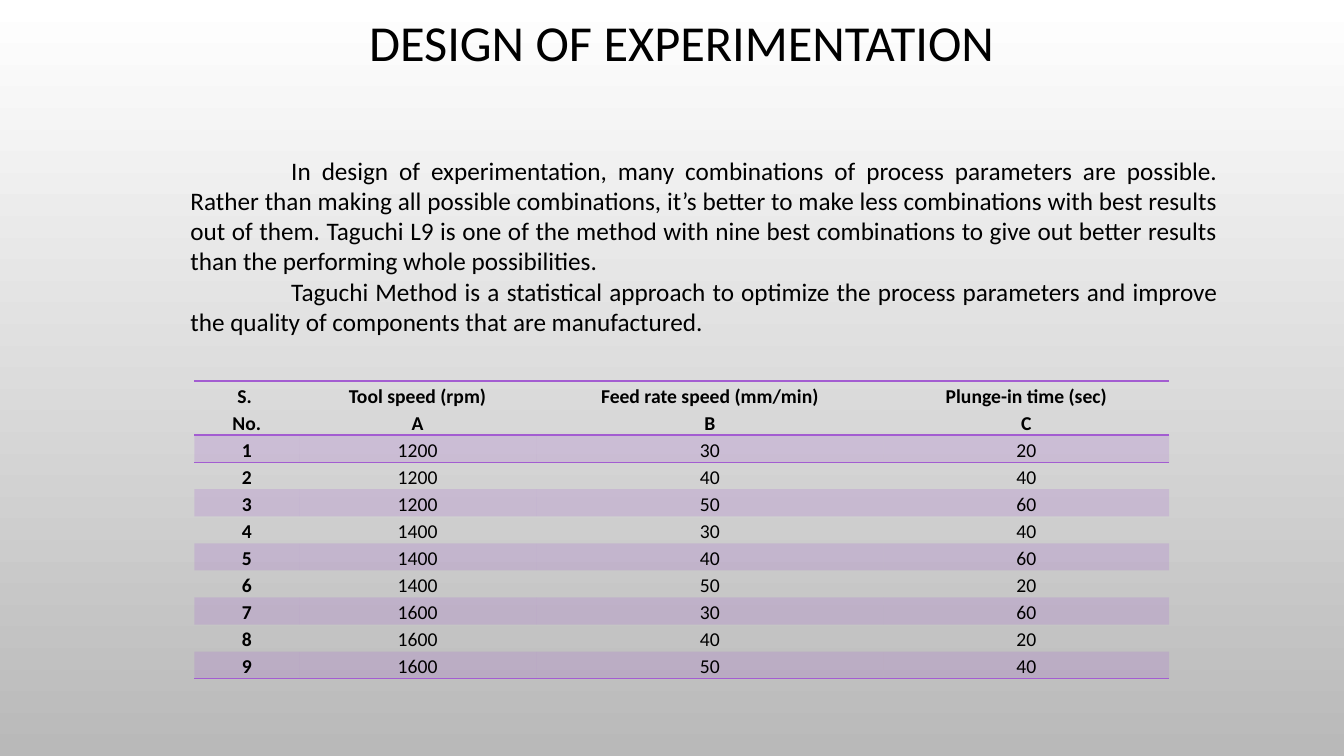
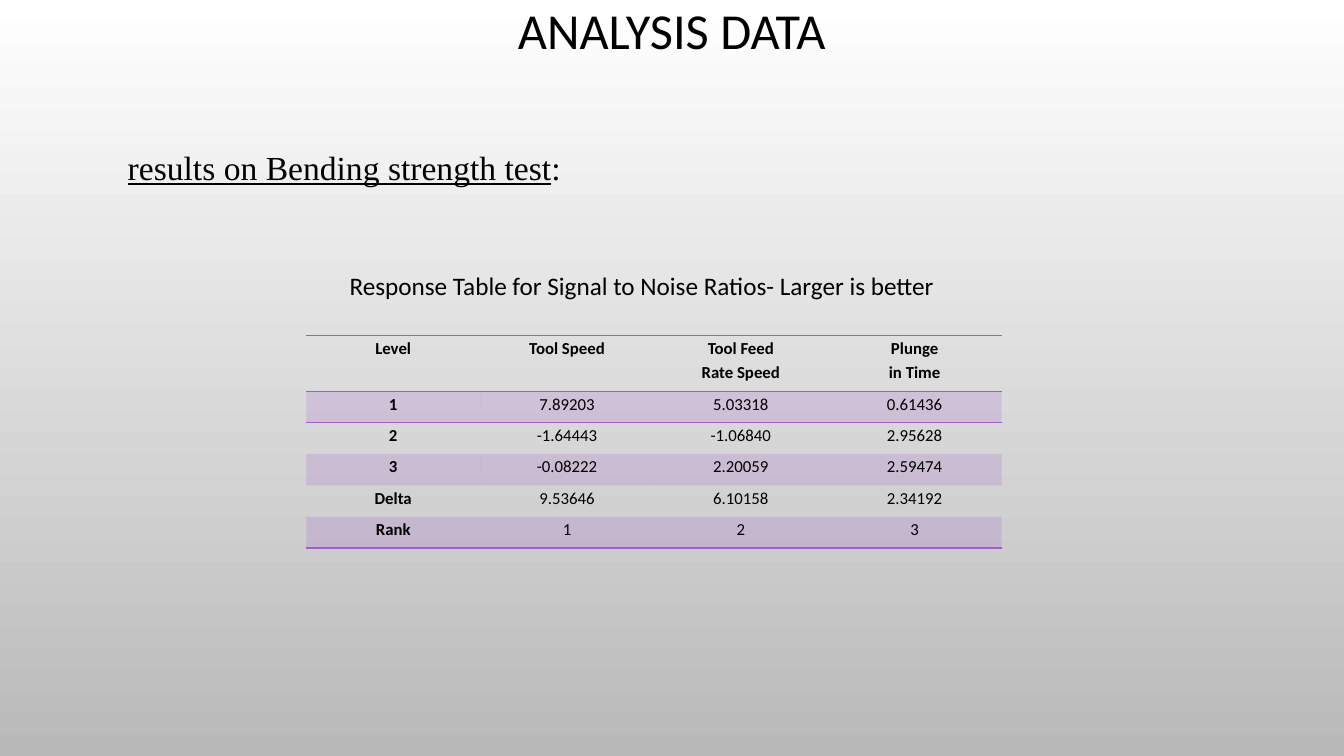
from dataclasses import dataclass
from typing import Any, NamedTuple

from lxml.etree import SubElement
from pptx import Presentation
from pptx.dml.color import RGBColor
from pptx.enum.text import MSO_ANCHOR as Anchor, MSO_AUTO_SIZE as AutoSize, PP_ALIGN as Align
from pptx.oxml import parse_xml
from pptx.oxml.ns import nsdecls, qn
from pptx.slide import Slide
from pptx.util import Cm, Pt

BLACK, WHITE, GREY, PURPLE = "000000", "FFFFFF", "B9B9B9", "A35DD1"
SANS, SERIF = "Calibri", "Times New Roman"
BAND_ALPHA = "20000"
PLAIN_TABLE = "{2D5ABB26-0587-4C30-8999-92F81FD0307C}"
TITLE_ONLY = 5


class Box(NamedTuple):
    left: float
    top: float
    width: float
    height: float

    def lengths(self) -> list[Cm]:
        return [Cm(side) for side in self]


class Words(NamedTuple):
    text: str
    underline: bool = False


@dataclass(frozen=True)
class Passage:
    box: Box
    paragraphs: tuple[tuple[Words, ...], ...]
    size: float = 18
    font: str = SANS
    align: Align = Align.LEFT
    first_indent: float = 0
    wrap: bool = True


@dataclass(frozen=True)
class DataTable:
    left: float
    top: float
    columns: tuple[float, ...]
    header_height: float
    row_height: float
    header: tuple[tuple[str, ...], ...]
    rows: tuple[tuple[str, ...], ...]
    size: float
    space_before: float = 0
    header_breaks: bool = False


@dataclass(frozen=True)
class Page:
    title: str
    title_box: Box
    passages: tuple[Passage, ...]
    table: DataTable


def colour(code: str) -> RGBColor:
    return RGBColor.from_string(code)


def apply(target: Any, formats: dict[str, Any]) -> None:
    for attribute, value in formats.items():
        setattr(target, attribute, value)


def format_font(font: Any, size: float, family: str = SANS, **extra: Any) -> None:
    apply(font, {"size": Pt(size), "name": family, **extra})
    font.color.rgb = colour(BLACK)


def paint_background(master: Any) -> None:
    fill = master.background.fill
    fill.gradient()
    fill.gradient_angle = 270
    for stop, code in zip(fill.gradient_stops, (WHITE, GREY)):
        stop.color.rgb = colour(code)


def add_title(slide: Slide, text: str, box: Box) -> None:
    title = slide.shapes.title
    apply(title, dict(zip(("left", "top", "width", "height"), box.lengths())))
    frame = title.text_frame
    apply(frame, {"text": text, "word_wrap": True, "auto_size": AutoSize.NONE,
                  "vertical_anchor": Anchor.MIDDLE})
    heading = frame.paragraphs[0]
    apply(heading, {"alignment": Align.CENTER, "line_spacing": 0.9})
    format_font(heading.runs[0].font, 36)


def add_passage(slide: Slide, passage: Passage) -> None:
    frame = slide.shapes.add_textbox(*passage.box.lengths()).text_frame
    frame.word_wrap = passage.wrap
    for index, pieces in enumerate(passage.paragraphs):
        paragraph = frame.add_paragraph() if index else frame.paragraphs[0]
        paragraph.alignment = passage.align
        if passage.first_indent:
            paragraph._p.get_or_add_pPr().set("indent", str(Cm(passage.first_indent)))
        for piece in pieces:
            run = paragraph.add_run()
            run.text = piece.text
            format_font(run.font, passage.size, passage.font, underline=piece.underline)


def add_border(cell: Any, side: str, position: int) -> None:
    line = parse_xml(
        f'<a:{side} {nsdecls("a")} w="{Pt(1)}"><a:solidFill><a:srgbClr val="{PURPLE}"/>'
        f'</a:solidFill></a:{side}>')
    cell._tc.get_or_add_tcPr().insert(position, line)


def fill_cell(cell: Any, banded: bool) -> None:
    if not banded:
        cell.fill.background()
        return
    cell.fill.solid()
    cell.fill.fore_color.rgb = colour(PURPLE)
    tint = cell._tc.tcPr.find(".//" + qn("a:srgbClr"))
    SubElement(tint, qn("a:alpha"), val=BAND_ALPHA)


def write_cell(cell: Any, lines: tuple[str, ...], data: DataTable, bold: bool) -> None:
    apply(cell, {"margin_left": Cm(0.18), "margin_right": Cm(0.18),
                 "margin_top": 0, "margin_bottom": 0})
    frame = cell.text_frame
    paragraph = frame.paragraphs[0]
    for index, line in enumerate(lines):
        if index and data.header_breaks:
            paragraph.add_line_break()
        elif index:
            paragraph = frame.add_paragraph()
        apply(paragraph, {"alignment": Align.CENTER, "line_spacing": 1.15,
                          "space_before": Pt(data.space_before)})
        run = paragraph.add_run()
        run.text = line
        format_font(run.font, data.size, bold=bold)


def add_data_table(slide: Slide, data: DataTable) -> None:
    last = len(data.rows)
    heights = [data.header_height] + [data.row_height] * last
    box = Box(data.left, data.top, sum(data.columns), sum(heights))
    table = slide.shapes.add_table(len(heights), len(data.columns), *box.lengths()).table
    apply(table, {"first_row": False, "horz_banding": False})
    table._tbl.tblPr.find(qn("a:tableStyleId")).text = PLAIN_TABLE
    for column, width in zip(table.columns, data.columns):
        column.width = Cm(width)
    for row, height in zip(table.rows, heights):
        row.height = Cm(height)
    body = [tuple((value,) for value in row) for row in data.rows]
    for r, entries in enumerate([data.header, *body]):
        for c, lines in enumerate(entries):
            cell = table.cell(r, c)
            write_cell(cell, lines, data, bold=r == 0 or c == 0)
            fill_cell(cell, banded=r % 2 == 1)
            if r in (0, last):
                add_border(cell, "a:lnB"[2:], 0)
            if r == 0:
                add_border(cell, "lnT", 0)
            if r == 1:
                add_border(cell, "lnT", 0)


EXPERIMENT = Page(
    "DESIGN OF EXPERIMENTATION",
    Box(2.79, 0, 28.78, 2.29),
    (Passage(
        Box(4.55, 3.78, 26.39, 4.88),
        ((Words("In design of experimentation, many combinations of process parameters are "
                "possible. Rather than making all possible combinations, it’s better to make "
                "less combinations with best results out of them. Taguchi L9 is one of the "
                "method with nine best combinations to give out better results than the "
                "performing whole possibilities."),),
         (Words("Taguchi Method is a statistical approach to optimize the process parameters "
                "and improve the quality of components that are manufactured."),)),
        align=Align.JUSTIFY, first_indent=2.54),),
    DataTable(
        4.9, 9.6, (2.64, 5.97, 8.76, 7.19), 1.3, 0.64,
        (("S. ", "No."), ("Tool speed (rpm)", "A"),
         ("Feed rate speed (mm/min)", "B"), ("Plunge-in time (sec)", "C")),
        (("1", "1200", "30", "20"),
         ("2", "1200", "40", "40"),
         ("3", "1200", "50", "60"),
         ("4", "1400", "30", "40"),
         ("5", "1400", "40", "60"),
         ("6", "1400", "50", "20"),
         ("7", "1600", "30", "60"),
         ("8", "1600", "40", "20"),
         ("9", "1600", "50", "40")),
        size=14))

ANALYSIS = Page(
    "ANALYSIS DATA",
    Box(2.54, -1.4, 28.78, 4.45),
    (Passage(
        Box(8.56, 6.68, 15.39, 1.02),
        ((Words("Response Table for Signal to Noise Ratios- Larger is better"),),),
        wrap=False),
     Passage(
        Box(2.97, 3.58, 11.89, 1.27),
        ((Words("results on Bending strength test", True), Words(":")),),
        size=24, font=SERIF)),
    DataTable(
        7.72, 8.46, (4.38,) * 4, 1.4, 0.79,
        (("Level",), ("Tool Speed",), ("Tool Feed", "Rate Speed"), ("Plunge", "in Time")),
        (("1", "7.89203", "5.03318", "0.61436"),
         ("2", "-1.64443", "-1.06840", "2.95628"),
         ("3", "-0.08222", "2.20059", "2.59474"),
         ("Delta", "9.53646", "6.10158", "2.34192"),
         ("Rank", "1", "2", "3")),
        size=12, space_before=4.5, header_breaks=True))


def main() -> None:
    deck = Presentation()
    apply(deck, {"slide_width": Cm(33.87), "slide_height": Cm(19.05)})
    paint_background(deck.slide_master)
    for page in (EXPERIMENT, ANALYSIS):
        slide = deck.slides.add_slide(deck.slide_layouts[TITLE_ONLY])
        add_title(slide, page.title, page.title_box)
        for passage in page.passages:
            add_passage(slide, passage)
        add_data_table(slide, page.table)
    deck.save("out.pptx")


if __name__ == "__main__":
    main()
